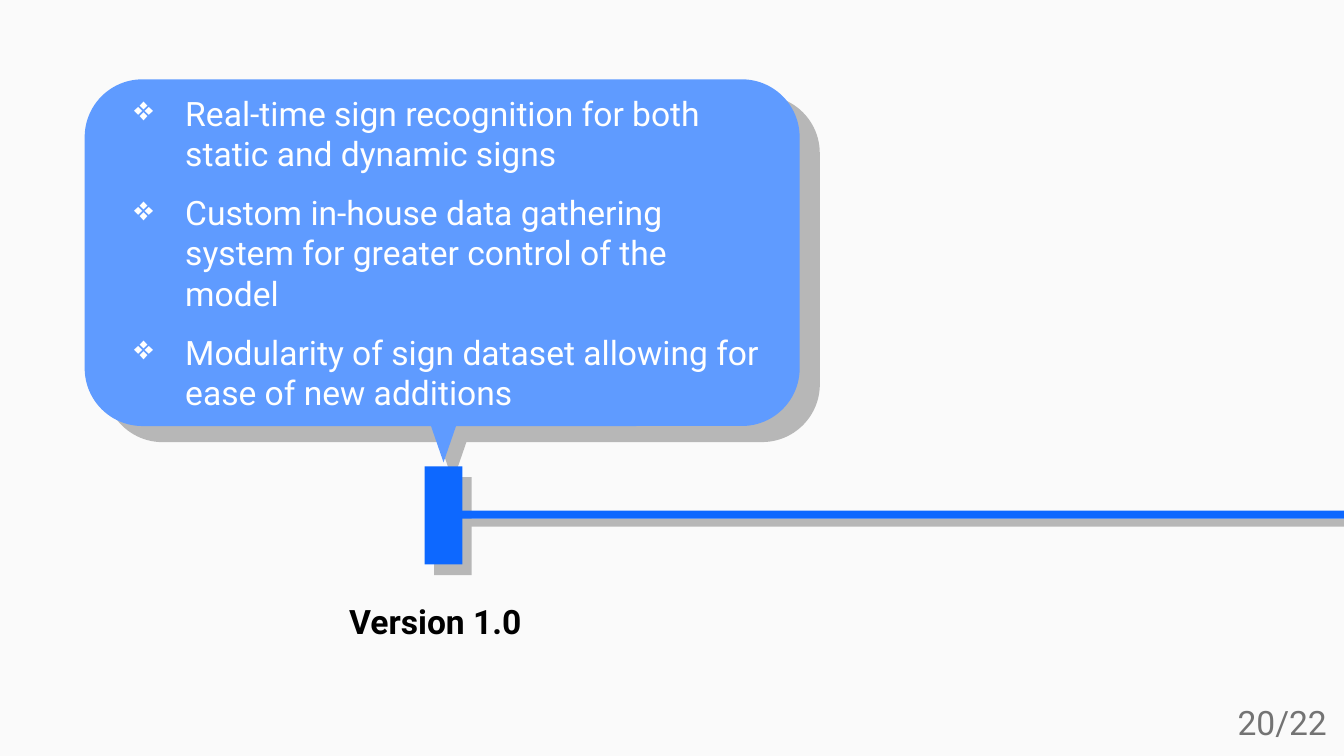
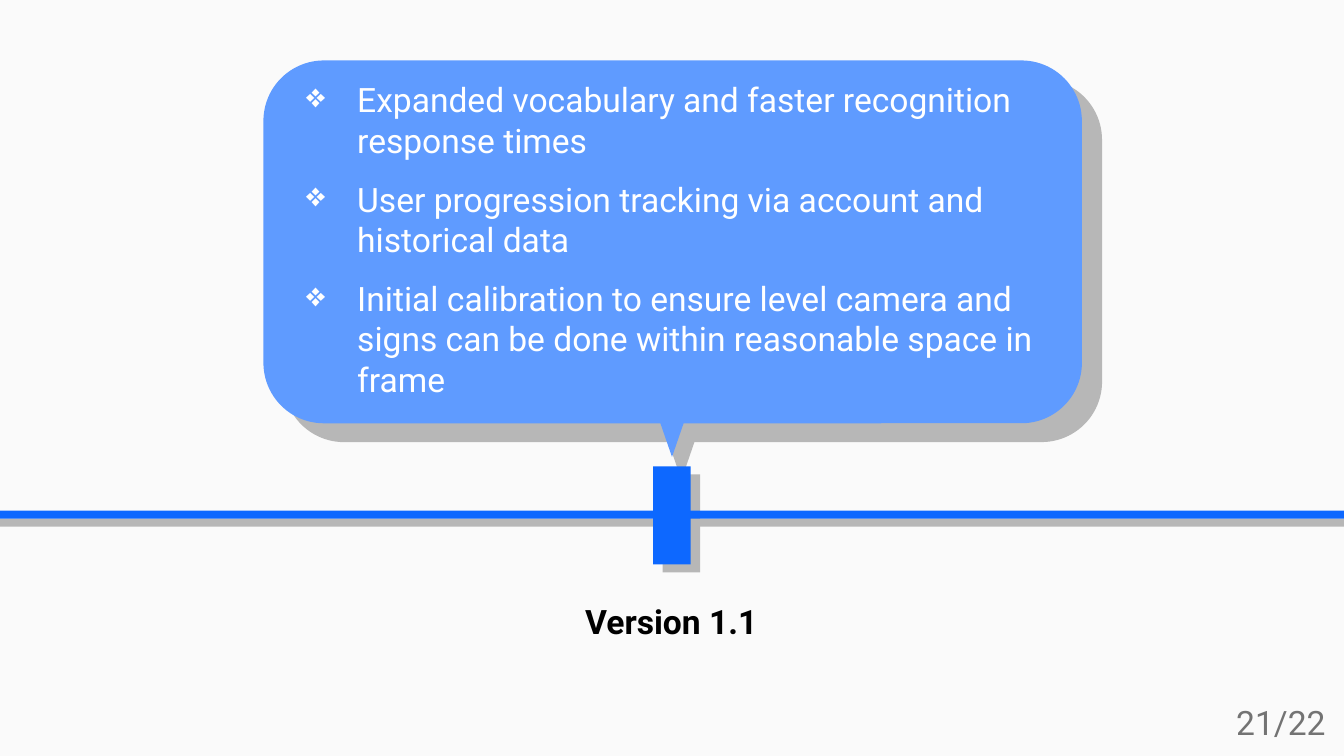
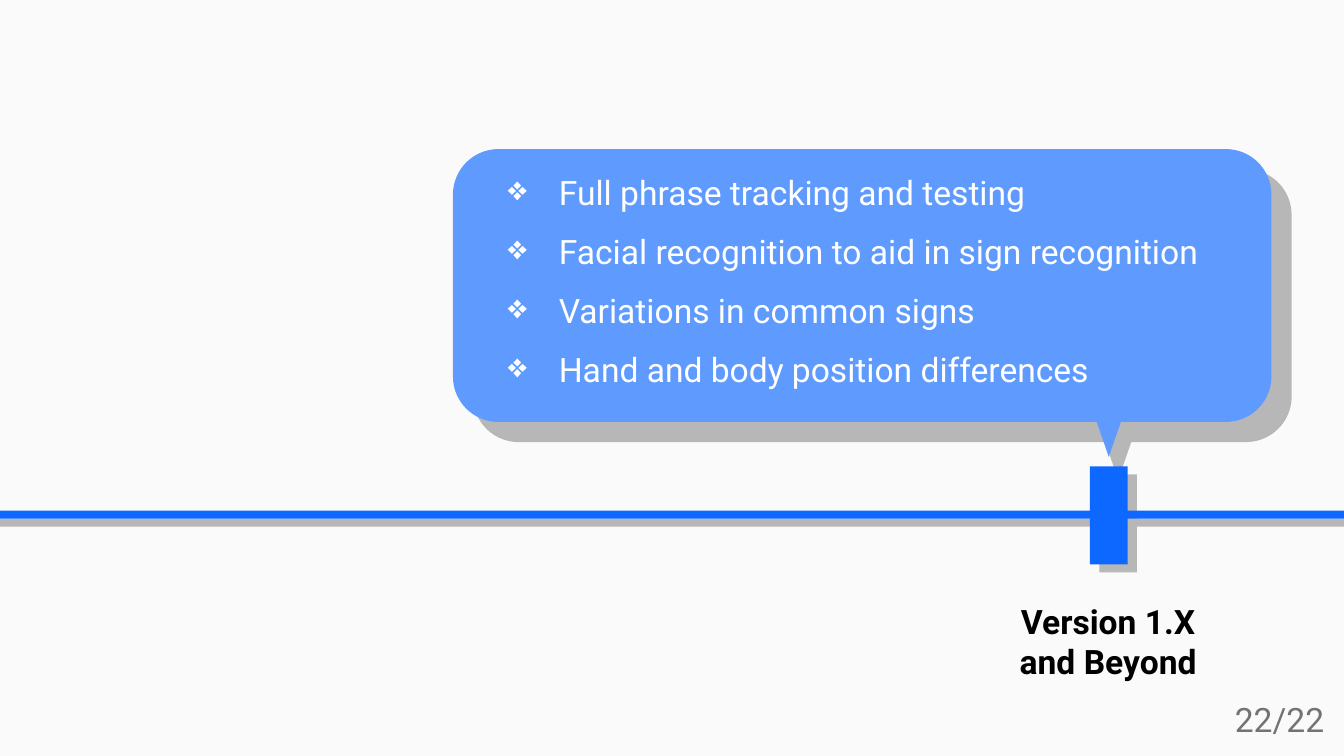
from lxml import etree
from pptx import Presentation
from pptx.dml.color import RGBColor
from pptx.enum.shapes import MSO_SHAPE
from pptx.enum.text import MSO_ANCHOR, MSO_AUTO_SIZE, PP_ALIGN
from pptx.oxml.ns import qn
from pptx.util import Inches, Pt

RECTANGLE = MSO_SHAPE.RECTANGLE
ROUNDED = MSO_SHAPE.ROUNDED_RECTANGLE
TRIANGLE = MSO_SHAPE.ISOSCELES_TRIANGLE
LEFT, CENTER = PP_ALIGN.LEFT, PP_ALIGN.CENTER

COLORS = {
    "background": "FAFAFA",
    "shadow": "B7B7B7",
    "callout": "5F9BFF",
    "timeline": "0D68FF",
    "label": "000000",
    "bullet": "FFFFFF",
    "page": "737373",
}
FONT = "Roboto"
TEXT_SIZE = Pt(18)

presentation = Presentation()
presentation.slide_width = Inches(10)
presentation.slide_height = Inches(5.625)

# Grid of 100 columns and 56.25 rows with square cells
COLUMN = presentation.slide_width / 100
ROW = presentation.slide_height / 56.25

# Timeline geometry shared by all slides, in columns and rows
MARKER_TOP, MARKER_WIDTH, MARKER_HEIGHT = 34.7, 2.8, 7.3
LINE_TOP, LINE_HEIGHT = 38, 0.6
POINTER_WIDTH, POINTER_HEIGHT = 2, 2.9
POINTER_INSET = (MARKER_WIDTH - POINTER_WIDTH) / 2
LABEL_TOP, LABEL_WIDTH = 43.7, 15.9
SHADOW_SHIFT = 0.7

# Boxes are (left, top, width, height); drops are how far a shadow falls
VERSIONS = [
    {
        "label": "Version 1.0", "label_left": 25, "label_height": 4.7, "align": LEFT,
        "marker": 31.6, "marker_drop": 0.8, "line_left": 32.7, "line_shadow": 34.3,
        "callout": (6.3, 5.9, 53.2, 25.8), "callout_drop": 1.2,
        "pointer_top": 31.5, "pointer_drop": 1.4,
        "list": (7.8, 5.9, 50.2, 25.3),
        "features": [
            "Real-time sign recognition for both static and dynamic signs",
            "Custom in-house data gathering system for greater control of the model",
            "Modularity of sign dataset allowing for ease of new additions",
        ],
        "page": "20/22", "page_box": (91.1, 51.2, 9.6, 8.1),
    },
    {
        "label": "Version 1.1", "label_left": 42, "label_height": 4.7, "align": CENTER,
        "marker": 48.6, "marker_drop": 0.6, "line_left": 0, "line_shadow": 0,
        "callout": (19.6, 4.5, 60.9, 27), "callout_drop": 1.4,
        "pointer_top": 31.1, "pointer_drop": 1.7,
        "list": (20.6, 4.9, 58.7, 26.2),
        "features": [
            "Expanded vocabulary and faster recognition response times",
            "User progression tracking via account and historical data",
            "Initial calibration to ensure level camera and signs can be done "
            "within reasonable space in frame",
        ],
        "page": "21/22", "page_box": (91, 51.2, 10.7, 8.1),
    },
    {
        "label": "Version 1.X and Beyond", "label_left": 74.5, "label_height": 7.3,
        "align": CENTER,
        "marker": 81.1, "marker_drop": 0.6, "line_left": 0, "line_shadow": 0,
        "callout": (33.7, 11.1, 60.9, 20.3), "callout_drop": 1.5,
        "pointer_top": 31.1, "pointer_drop": 1.7,
        "list": (35.6, 11.8, 58.7, 19.3),
        "features": [
            "Full phrase tracking and testing",
            "Facial recognition to aid in sign recognition",
            "Variations in common signs",
            "Hand and body position differences",
        ],
        "page": "22/22", "page_box": (90.9, 51, 10.6, 8.1),
    },
]


def add_block(slide, kind, color, left, top, width, height):
    shape = slide.shapes.add_shape(
        kind, round(left * COLUMN), round(top * ROW),
        round(width * COLUMN), round(height * ROW))
    shape.shadow.inherit = False
    shape.fill.solid()
    shape.fill.fore_color.rgb = RGBColor.from_string(COLORS[color])
    shape.line.fill.background()
    if kind == TRIANGLE:
        shape.rotation = 180


def add_text(slide, box, texts, color, align=LEFT, bold=False, bulleted=False):
    left, top, width, height = box
    shape = slide.shapes.add_textbox(
        round(left * COLUMN), round(top * ROW),
        round(width * COLUMN), round(height * ROW))
    frame = shape.text_frame
    frame.word_wrap = True
    frame.vertical_anchor = MSO_ANCHOR.TOP
    frame.margin_left = frame.margin_right = round(COLUMN)
    frame.margin_top = frame.margin_bottom = round(ROW)
    for index, text in enumerate(texts):
        paragraph = frame.add_paragraph() if index else frame.paragraphs[0]
        paragraph.alignment = align
        if index:
            paragraph.space_before = Pt(10)
        if bulleted:
            properties = paragraph._p.get_or_add_pPr()
            properties.set("marL", str(Inches(0.5)))
            properties.set("indent", str(Inches(-0.38)))
            bullet_color = etree.SubElement(properties, qn("a:buClr"))
            etree.SubElement(bullet_color, qn("a:srgbClr"), val=COLORS[color])
            etree.SubElement(properties, qn("a:buChar"), char="❖")
        run = paragraph.add_run()
        run.text = text
        run.font.name = FONT
        run.font.size = TEXT_SIZE
        run.font.bold = bold
        run.font.color.rgb = RGBColor.from_string(COLORS[color])
    return frame


for version in VERSIONS:
    slide = presentation.slides.add_slide(presentation.slide_layouts[6])
    slide.background.fill.solid()
    slide.background.fill.fore_color.rgb = RGBColor.from_string(COLORS["background"])

    left, top, width, height = version["callout"]
    marker = version["marker"]
    pointer = marker + POINTER_INSET
    line_left, line_shadow = version["line_left"], version["line_shadow"]

    # Shadows
    add_block(slide, TRIANGLE, "shadow", pointer + SHADOW_SHIFT,
              version["pointer_top"] + version["pointer_drop"],
              POINTER_WIDTH, POINTER_HEIGHT)
    add_block(slide, ROUNDED, "shadow", left + 1.5, top + version["callout_drop"],
              width, height)
    add_block(slide, RECTANGLE, "shadow", line_shadow, LINE_TOP + LINE_HEIGHT,
              100 - line_shadow, LINE_HEIGHT)
    add_block(slide, RECTANGLE, "shadow", marker + SHADOW_SHIFT,
              MARKER_TOP + version["marker_drop"], MARKER_WIDTH, MARKER_HEIGHT)

    # Callout, pointer, marker and timeline
    add_block(slide, ROUNDED, "callout", left, top, width, height)
    add_block(slide, TRIANGLE, "callout", pointer, version["pointer_top"],
              POINTER_WIDTH, POINTER_HEIGHT)
    add_block(slide, RECTANGLE, "timeline", marker, MARKER_TOP,
              MARKER_WIDTH, MARKER_HEIGHT)
    add_block(slide, RECTANGLE, "timeline", line_left, LINE_TOP,
              100 - line_left, LINE_HEIGHT)

    # Features, version label and page number
    add_text(slide, version["list"], version["features"], "bullet", bulleted=True)
    label_box = (version["label_left"], LABEL_TOP, LABEL_WIDTH, version["label_height"])
    add_text(slide, label_box, [version["label"]], "label", version["align"], bold=True)
    page_frame = add_text(slide, version["page_box"], [version["page"]], "page")
    page_frame.auto_size = MSO_AUTO_SIZE.SHAPE_TO_FIT_TEXT

presentation.save("out.pptx")
